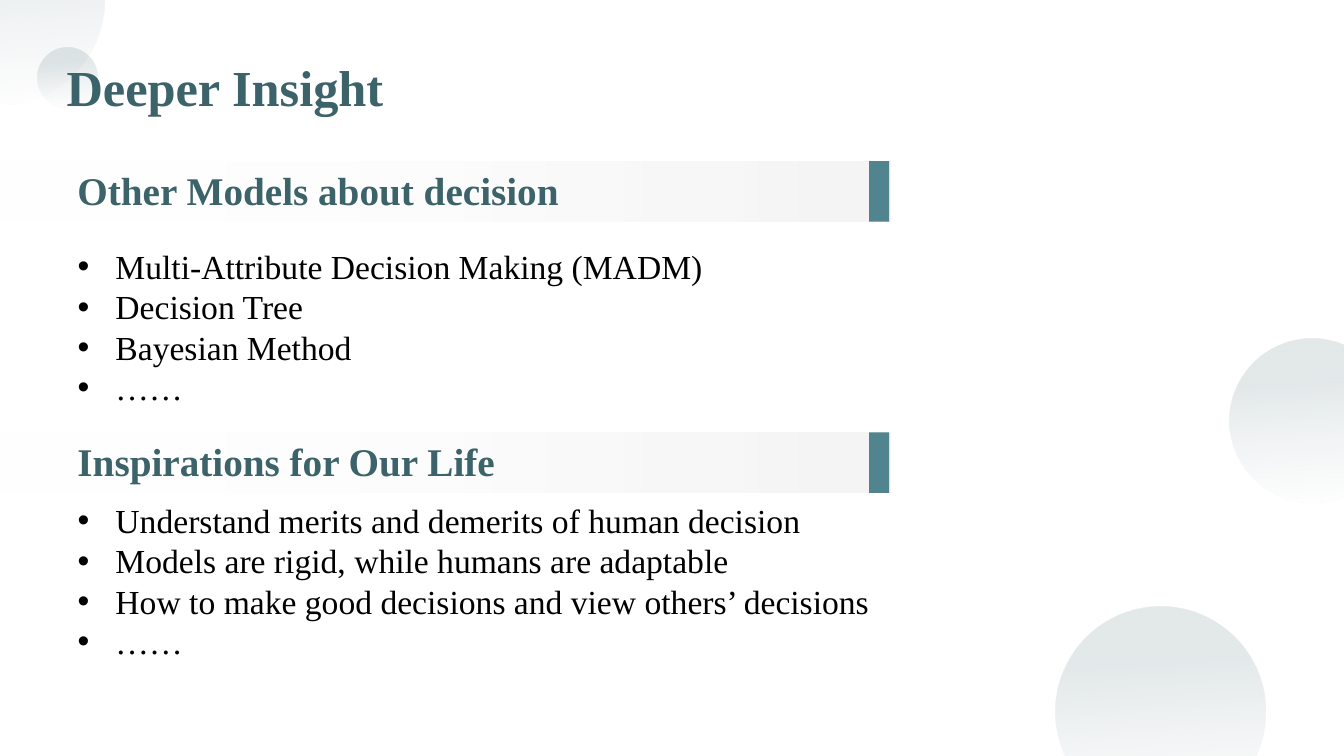
from dataclasses import dataclass

from lxml.etree import SubElement
from pptx import Presentation
from pptx.dml.color import RGBColor
from pptx.enum.shapes import MSO_SHAPE
from pptx.enum.text import MSO_ANCHOR, MSO_AUTO_SIZE, PP_ALIGN
from pptx.oxml.ns import qn
from pptx.util import Inches, Pt

WIDE, HIGH = 13.33, 7.5
FACE = "Times New Roman"
HUES = {"deep": "3D636A", "teal": "51848E", "pale": "F2F2F2",
        "white": "FFFFFF", "black": "000000"}


@dataclass
class Stop:
    place: int
    hue: str
    alpha: int


@dataclass
class Disc:
    left: float
    top: float
    size: float


@dataclass
class Part:
    """A heading on a band, with its list below."""
    head: str
    top: float
    list_top: float
    items: list[str]


MIST = [Stop(28, "deep", 14), Stop(100, "white", 11)]
FADE = [Stop(0, "white", 0), Stop(100, "pale", 80)]
DISCS = [Disc(-1.04, -1.04, 2.08), Disc(0.37, 0.47, 0.6),
         Disc(10.47, 6.02, 2.08), Disc(12.2, 3.36, 1.63)]
PARTS = [
    Part("Other Models about decision", 1.6, 2.39,
         ["Multi-Attribute Decision Making (MADM)", "Decision Tree",
          "Bayesian Method", "……"]),
    Part("Inspirations for Our Life", 4.29, 4.91,
         ["Understand merits and demerits of human decision",
          "Models are rigid, while humans are adaptable",
          "How to make good decisions and view others’ decisions", "……"]),
]


def place(shape, left: float, top: float, wide: float, high: float) -> None:
    shape.left, shape.top = Inches(left), Inches(top)
    shape.width, shape.height = Inches(wide), Inches(high)


def blend(shape, stops: list[Stop], angle: int) -> None:
    """Fill a shape with a linear gradient of see-through stops."""
    shape.fill.gradient()
    grad = shape.element.spPr.find(qn("a:gradFill"))
    for child in list(grad):
        grad.remove(child)
    row = SubElement(grad, qn("a:gsLst"))
    for stop in stops:
        mark = SubElement(row, qn("a:gs"), pos=str(stop.place * 1000))
        hue = SubElement(mark, qn("a:srgbClr"), val=HUES[stop.hue])
        SubElement(hue, qn("a:alpha"), val=str(stop.alpha * 1000))
    SubElement(grad, qn("a:lin"), ang=str(angle * 60000), scaled="0")


def draw(slide, kind: MSO_SHAPE, left: float, top: float, wide: float, high: float):
    shape = slide.shapes.add_shape(kind, *map(Inches, (left, top, wide, high)))
    shape.shadow.inherit = False
    shape.line.fill.background()
    return shape


def write(shape, lines: list[str], *, size: int, hue: str = "deep",
          bold: bool = False, bullet: bool = False) -> None:
    frame = shape.text_frame
    frame.word_wrap = True
    frame.auto_size = MSO_AUTO_SIZE.NONE
    frame.vertical_anchor = MSO_ANCHOR.TOP
    frame.text = "\n".join(lines)
    for para in frame.paragraphs:
        if bullet:
            props = para._p.get_or_add_pPr()
            props.set("marL", str(Inches(0.375)))
            props.set("indent", str(-Inches(0.375)))
            SubElement(props, qn("a:buFont"), typeface="Arial")
            SubElement(props, qn("a:buChar"), char="•")
        para.alignment = PP_ALIGN.LEFT
        para.space_before = Pt(0)
        for run in para.runs:
            font = run.font
            font.name, font.size, font.bold = FACE, Pt(size), bold
            font.color.rgb = RGBColor.from_string(HUES[hue])


def band(slide, top: float) -> None:
    blend(draw(slide, MSO_SHAPE.RECTANGLE, -0.39, top, 9.22, 0.6), FADE, 0)
    tab = draw(slide, MSO_SHAPE.RECTANGLE, 8.62, top, 0.2, 0.6)
    tab.fill.solid()
    tab.fill.fore_color.rgb = RGBColor.from_string(HUES["teal"])


def main() -> None:
    deck = Presentation()
    deck.slide_width, deck.slide_height = Inches(WIDE), Inches(HIGH)
    slide = deck.slides.add_slide(deck.slide_layouts.get_by_name("Two Content"))
    title, *lists = slide.placeholders

    for disc in DISCS:
        shape = draw(slide, MSO_SHAPE.OVAL, disc.left, disc.top, disc.size, disc.size)
        blend(shape, MIST, 86)

    tree = slide.shapes.element
    tree.append(title.element)
    place(title, 0.56, 0.51, 3.6, 0.71)
    write(title, ["Deeper Insight"], size=36, bold=True)

    for part, body in zip(PARTS, lists):
        band(slide, part.top)
        head = slide.shapes.add_textbox(0, 0, 0, 0)
        place(head, 0.67, part.top, 5.85, 0.57)
        write(head, [part.head], size=28, bold=True)
        tree.append(body.element)
        place(body, 0.67, part.list_top, 8.15, 1.72)
        write(body, part.items, size=24, hue="black", bullet=True)

    deck.save("out.pptx")


if __name__ == "__main__":
    main()
